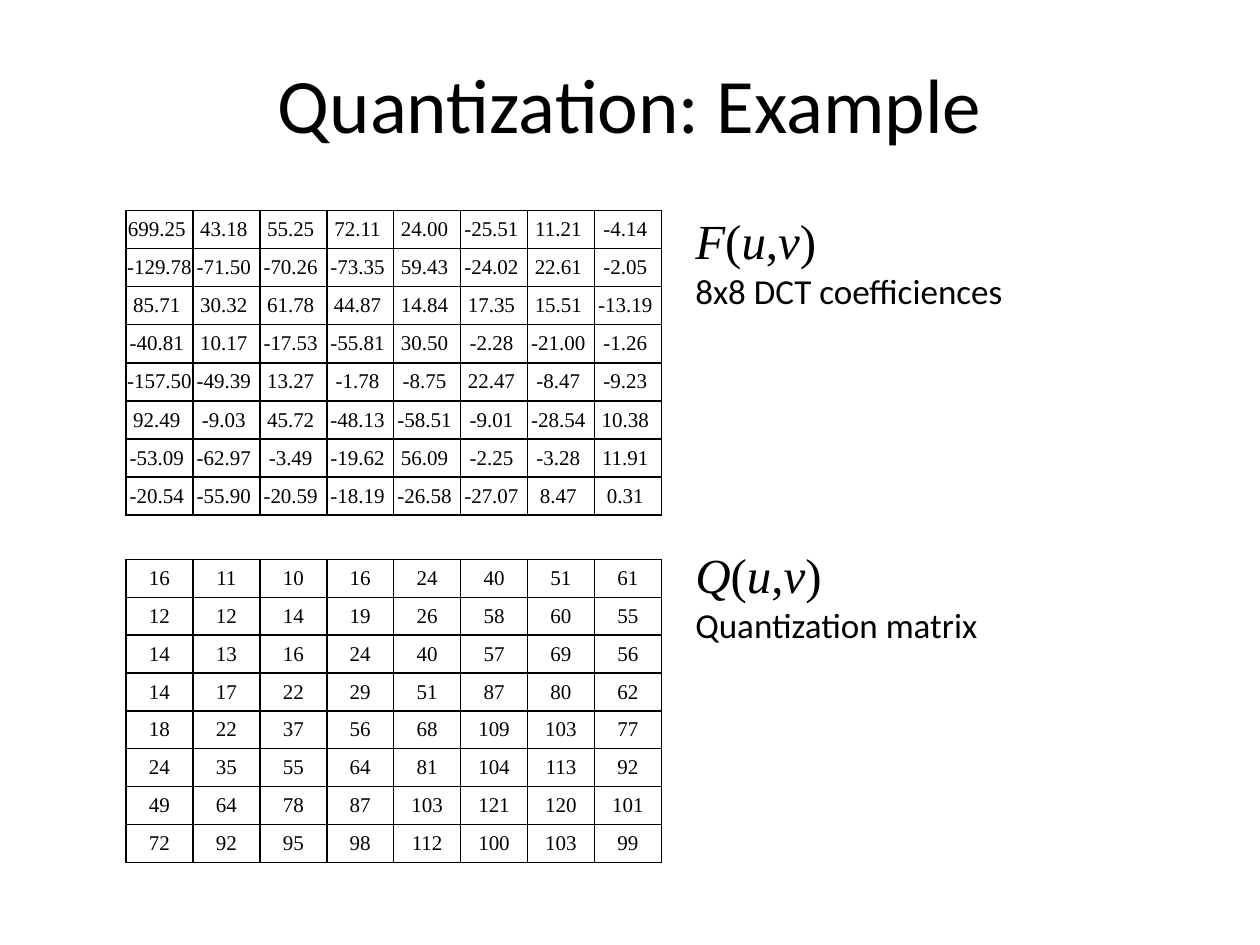
from lxml.etree import SubElement
from pptx import Presentation
from pptx.dml.color import RGBColor
from pptx.enum.text import MSO_ANCHOR, PP_ALIGN
from pptx.oxml import parse_xml
from pptx.oxml.ns import nsdecls
from pptx.util import Inches, Pt

COLORS = {"ink": "000000"}
INK = RGBColor.from_string(COLORS["ink"])
SANS, SERIF = "Calibri", "Times New Roman"

DCT_COEFFICIENTS = """
699.25 43.18 55.25 72.11 24.00 -25.51 11.21 -4.14
-129.78 -71.50 -70.26 -73.35 59.43 -24.02 22.61 -2.05
85.71 30.32 61.78 44.87 14.84 17.35 15.51 -13.19
-40.81 10.17 -17.53 -55.81 30.50 -2.28 -21.00 -1.26
-157.50 -49.39 13.27 -1.78 -8.75 22.47 -8.47 -9.23
92.49 -9.03 45.72 -48.13 -58.51 -9.01 -28.54 10.38
-53.09 -62.97 -3.49 -19.62 56.09 -2.25 -3.28 11.91
-20.54 -55.90 -20.59 -18.19 -26.58 -27.07 8.47 0.31
"""
QUANTIZATION_MATRIX = """
16 11 10 16 24 40 51 61
12 12 14 19 26 58 60 55
14 13 16 24 40 57 69 56
14 17 22 29 51 87 80 62
18 22 37 56 68 109 103 77
24 35 55 64 81 104 113 92
49 64 78 87 103 121 120 101
72 92 95 98 112 100 103 99
"""


def set_font(font, name, size, italic=None):
    font.name, font.size, font.italic = name, Pt(size), italic
    font.color.rgb = INK


def add_borders(cell):
    properties = cell._tc.get_or_add_tcPr()
    for position, side in enumerate(("lnL", "lnR", "lnT", "lnB")):
        border = parse_xml(f'<a:{side} {nsdecls("a")} w="{Pt(1)}"><a:solidFill>'
                           f'<a:srgbClr val="{COLORS["ink"]}"/></a:solidFill></a:{side}>')
        properties.insert(position, border)


presentation = Presentation()
presentation.slide_width, presentation.slide_height = Inches(10), Inches(7.5)
slide = presentation.slides.add_slide(presentation.slide_layouts[5])

# Title
title = slide.shapes.title
title.left, title.top, title.width, title.height = map(Inches, (0.5, 0.3, 9, 1.03))
title.text_frame.text = "Quantization: Example"
title.text_frame.vertical_anchor = MSO_ANCHOR.MIDDLE
heading = title.text_frame.paragraphs[0]
heading.alignment = PP_ALIGN.CENTER
set_font(heading.font, SANS, 44)

# Each matrix with its label; the coefficients end in a space as number padding
matrices = [
    (DCT_COEFFICIENTS, 1.67, 2.42, " ", "F", "8x8 DCT coefficiences", 1.62, 3.05),
    (QUANTIZATION_MATRIX, 4.44, 2.4, "", "Q", "Quantization matrix", 4.27, 2.66),
]
for values, top, height, padding, symbol, caption, label_top, label_width in matrices:
    rows = [line.split() for line in values.strip().splitlines()]
    matrix = slide.shapes.add_table(len(rows), len(rows[0]), Inches(1), Inches(top),
                                    Inches(4.25), Inches(height)).table
    matrix.first_row = matrix.horz_banding = False
    for row, numbers in enumerate(rows):
        for column, number in enumerate(numbers):
            cell = matrix.cell(row, column)
            cell.fill.background()
            add_borders(cell)
            cell.margin_left = cell.margin_right = 0
            cell.vertical_anchor = MSO_ANCHOR.MIDDLE
            cell.text = number + padding
            entry = cell.text_frame.paragraphs[0]
            entry.alignment = PP_ALIGN.CENTER
            set_font(entry.font, SERIF, 12)

    label = slide.shapes.add_textbox(Inches(5.42), Inches(label_top),
                                     Inches(label_width), Inches(0.9)).text_frame
    label.word_wrap = True
    formula = label.paragraphs[0]
    for part in (symbol, "(", "u", ",", "v", ")"):
        run = formula.add_run()
        run.text = part
        set_font(run.font, SERIF, 28, part.isalpha())
    description = label.add_paragraph()
    description.text = caption
    set_font(description.font, SANS, 20)

presentation.save("out.pptx")
